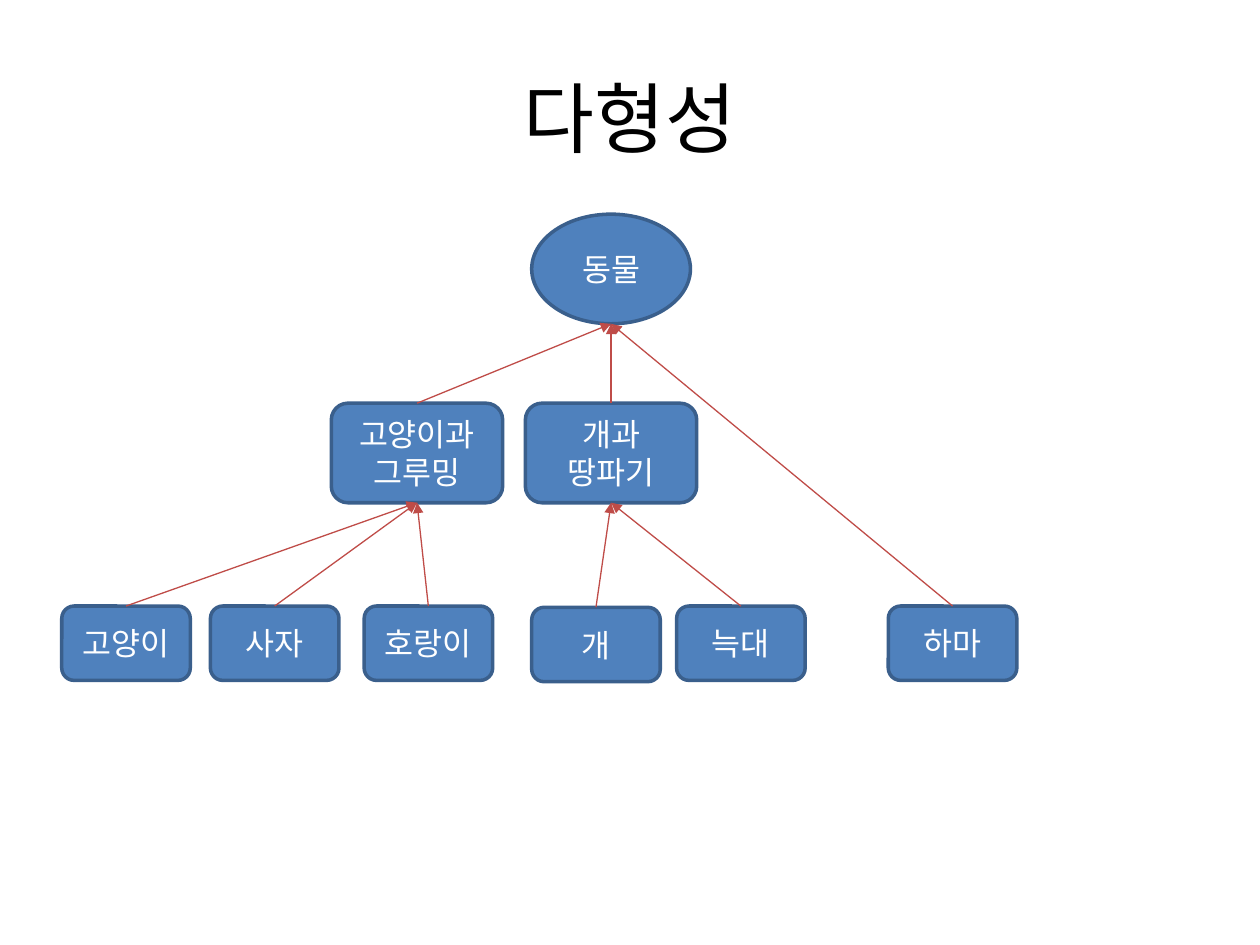
from dataclasses import dataclass

from lxml import etree
from pptx import Presentation
from pptx.dml.color import RGBColor
from pptx.enum.shapes import MSO_CONNECTOR, MSO_SHAPE
from pptx.enum.text import MSO_ANCHOR, PP_ALIGN
from pptx.oxml.ns import qn
from pptx.util import Inches, Pt

ELLIPSE, ROUNDED = MSO_SHAPE.OVAL, MSO_SHAPE.ROUNDED_RECTANGLE
STRAIGHT = MSO_CONNECTOR.STRAIGHT
CENTER, MIDDLE = PP_ALIGN.CENTER, MSO_ANCHOR.MIDDLE
TOP_SITE, BOTTOM_SITE = 0, 2
TITLE_ONLY = 5

FONT = "Noto Sans CJK KR"
WIDTH, HEIGHT = 10, 7.5
FILL, BORDER, ARROW = "4F81BD", "3A5F8C", "BF4C48"
WHITE, BLACK = "FFFFFF", "000000"


@dataclass(frozen=True)
class Level:
    """One row of the tree; lengths in inches."""
    top: float
    width: float
    height: float
    preset: int = ROUNDED


@dataclass(frozen=True)
class Node:
    text: str
    level: Level
    center: float
    parent: str = ""
    drop: float = 0


ROOT = Level(1.7, 1.26, 0.87, ELLIPSE)
FAMILY = Level(3.2, 1.36, 0.79)
SPECIES = Level(4.81, 1.02, 0.59)

NODES = [
    Node("동물", ROOT, 4.85),
    Node("고양이과\n그루밍", FAMILY, 3.31, "동물"),
    Node("개과\n땅파기", FAMILY, 4.85, "동물"),
    Node("고양이", SPECIES, 1.0, "고양이과\n그루밍"),
    Node("사자", SPECIES, 2.18, "고양이과\n그루밍"),
    Node("호랑이", SPECIES, 3.4, "고양이과\n그루밍"),
    Node("개", SPECIES, 4.73, "개과\n땅파기", drop=0.01),
    Node("늑대", SPECIES, 5.88, "개과\n땅파기"),
    Node("하마", SPECIES, 7.56, "동물"),
]


def color(value: str) -> RGBColor:
    return RGBColor.from_string(value)


def write(shape, text: str, *, size: float, ink: str) -> None:
    """Fill the shape with centred text, one paragraph per line."""
    frame = shape.text_frame
    frame.word_wrap = True
    frame.vertical_anchor = MIDDLE
    frame.text = text
    for para in frame.paragraphs:
        para.alignment = CENTER
        for span in para.runs:
            span.font.name = FONT
            span.font.size = Pt(size)
            span.font.color.rgb = color(ink)
            east_asian = etree.SubElement(span.font._element, qn("a:ea"))
            east_asian.set("typeface", FONT)


def draw_node(page, node: Node):
    level = node.level
    box = page.shapes.add_shape(
        level.preset, Inches(node.center - level.width / 2),
        Inches(level.top + node.drop), Inches(level.width), Inches(level.height))
    box.shadow.inherit = False
    box.fill.solid()
    box.fill.fore_color.rgb = color(FILL)
    box.line.color.rgb = color(BORDER)
    box.line.width = Pt(2)
    write(box, node.text, size=18, ink=WHITE)
    return box


def draw_arrow(page, child, parent) -> None:
    """Point from the top of the child to the bottom of its parent."""
    arrow = page.shapes.add_connector(
        STRAIGHT, child.left + child.width // 2, child.top,
        parent.left + parent.width // 2, parent.top + parent.height)
    arrow.begin_connect(child, TOP_SITE)
    if parent.auto_shape_type == ROUNDED:
        arrow.end_connect(parent, BOTTOM_SITE)
    arrow.line.color.rgb = color(ARROW)
    arrow.line.width = Pt(0.75)
    etree.SubElement(arrow.line._get_or_add_ln(), qn("a:tailEnd"), type="triangle")
    etree.SubElement(arrow._element.spPr, qn("a:effectLst"))


def main() -> None:
    deck = Presentation()
    deck.slide_width, deck.slide_height = Inches(WIDTH), Inches(HEIGHT)
    page = deck.slides.add_slide(deck.slide_layouts[TITLE_ONLY])

    title = page.shapes.title
    title.left, title.top = Inches(WIDTH * 0.05), Inches(HEIGHT * 0.04)
    title.width, title.height = Inches(WIDTH * 0.9), Inches(1.25)
    write(title, "다형성", size=44, ink=BLACK)

    boxes = {node.text: draw_node(page, node) for node in NODES}
    for node in NODES:
        if node.parent:
            draw_arrow(page, boxes[node.text], boxes[node.parent])

    deck.save("out.pptx")


if __name__ == "__main__":
    main()
